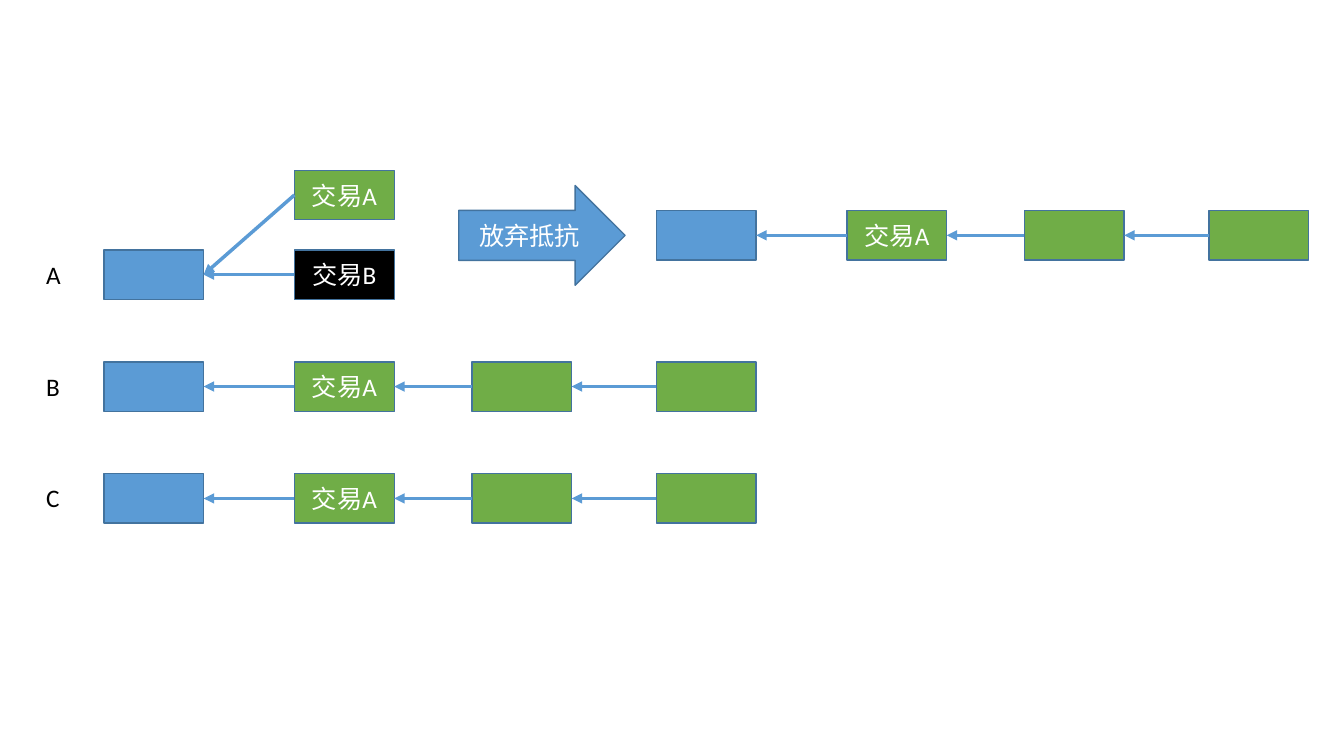
from dataclasses import dataclass

from lxml.etree import SubElement
from pptx import Presentation
from pptx.dml.color import RGBColor
from pptx.enum.shapes import MSO_CONNECTOR, MSO_SHAPE
from pptx.enum.text import MSO_ANCHOR, MSO_AUTO_SIZE, PP_ALIGN
from pptx.oxml.ns import qn
from pptx.util import Pt

PX = 9144  # 100 px to the inch
BOX_W, BOX_H = 99, 49
CHAIN_STEPS = (0, 189, 365, 548)
LEFT_SITE, RIGHT_SITE = 1, 3


@dataclass(frozen=True)
class Theme:
    blue: RGBColor = RGBColor(0x5B, 0x9B, 0xD5)
    green: RGBColor = RGBColor(0x70, 0xAD, 0x47)
    black: RGBColor = RGBColor(0, 0, 0)
    white: RGBColor = RGBColor(0xFF, 0xFF, 0xFF)
    outline: RGBColor = RGBColor(0x43, 0x73, 0x9E)
    font: str = "Calibri"
    size: Pt = Pt(18)
    outline_width: Pt = Pt(1)
    link_width: Pt = Pt(2.5)


THEME = Theme()


def px(*lengths):
    return [length * PX for length in lengths]


def write_text(tf, text, color):
    p = tf.paragraphs[0]
    r = p.add_run()
    r.text = text
    for name, value in {"name": THEME.font, "size": THEME.size}.items():
        setattr(r.font, name, value)
    r.font.color.rgb = color
    return p


def add_block(slide, x, y, fill, text="", kind=MSO_SHAPE.RECTANGLE, w=BOX_W, h=BOX_H):
    sp = slide.shapes.add_shape(kind, *px(x, y, w, h))
    sp.shadow.inherit = False
    sp.fill.solid()
    sp.fill.fore_color.rgb = fill
    sp.line.color.rgb = THEME.outline
    sp.line.width = THEME.outline_width
    if text:
        sp.text_frame.vertical_anchor = MSO_ANCHOR.MIDDLE
        write_text(sp.text_frame, text, THEME.white).alignment = PP_ALIGN.CENTER
    return sp


def add_link(slide, block, parent):
    """Point an arrow from a block back to the block before it."""
    link = slide.shapes.add_connector(MSO_CONNECTOR.STRAIGHT, 0, 0, 0, 0)
    link.begin_connect(block, LEFT_SITE)
    link.end_connect(parent, RIGHT_SITE)
    link.line.color.rgb = THEME.blue
    link.line.width = THEME.link_width
    SubElement(link.line._get_or_add_ln(), qn("a:tailEnd"), type="triangle")
    SubElement(link._element.spPr, qn("a:effectLst"))


def add_chain(slide, x, y):
    parent = add_block(slide, x, y, THEME.blue)
    for step, text in zip(CHAIN_STEPS[1:], ("交易A", "", "")):
        block = add_block(slide, x + step, y, THEME.green, text)
        add_link(slide, block, parent)
        parent = block


def add_fork(slide, x, y):
    """Draw one block that two rival transactions both point to."""
    parent = add_block(slide, x, y, THEME.blue)
    rivals = ((y - 79, THEME.green, "交易A"), (y, THEME.black, "交易B"))
    for top, fill, text in rivals:
        add_link(slide, add_block(slide, x + CHAIN_STEPS[1], top, fill, text), parent)


def add_label(slide, x, y, text):
    tf = slide.shapes.add_textbox(*px(x, y, 35, 40)).text_frame
    for name, value in {"word_wrap": False,
                        "auto_size": MSO_AUTO_SIZE.SHAPE_TO_FIT_TEXT}.items():
        setattr(tf, name, value)
    write_text(tf, text, THEME.black)


def main():
    prs = Presentation()
    prs.slide_width, prs.slide_height = px(1333, 750)
    slide = prs.slides.add_slide(prs.slide_layouts[6])

    rows = (("A", 248, add_fork), ("B", 359, add_chain), ("C", 470, add_chain))
    for label, y, draw in rows:
        add_label(slide, 36, y + 4, label)
        draw(slide, 103, y)

    add_block(slide, 455, 184, THEME.blue, "放弃抵抗", MSO_SHAPE.RIGHT_ARROW, 165, 99)
    add_chain(slide, 651, 209)
    prs.save("out.pptx")


if __name__ == "__main__":
    main()
